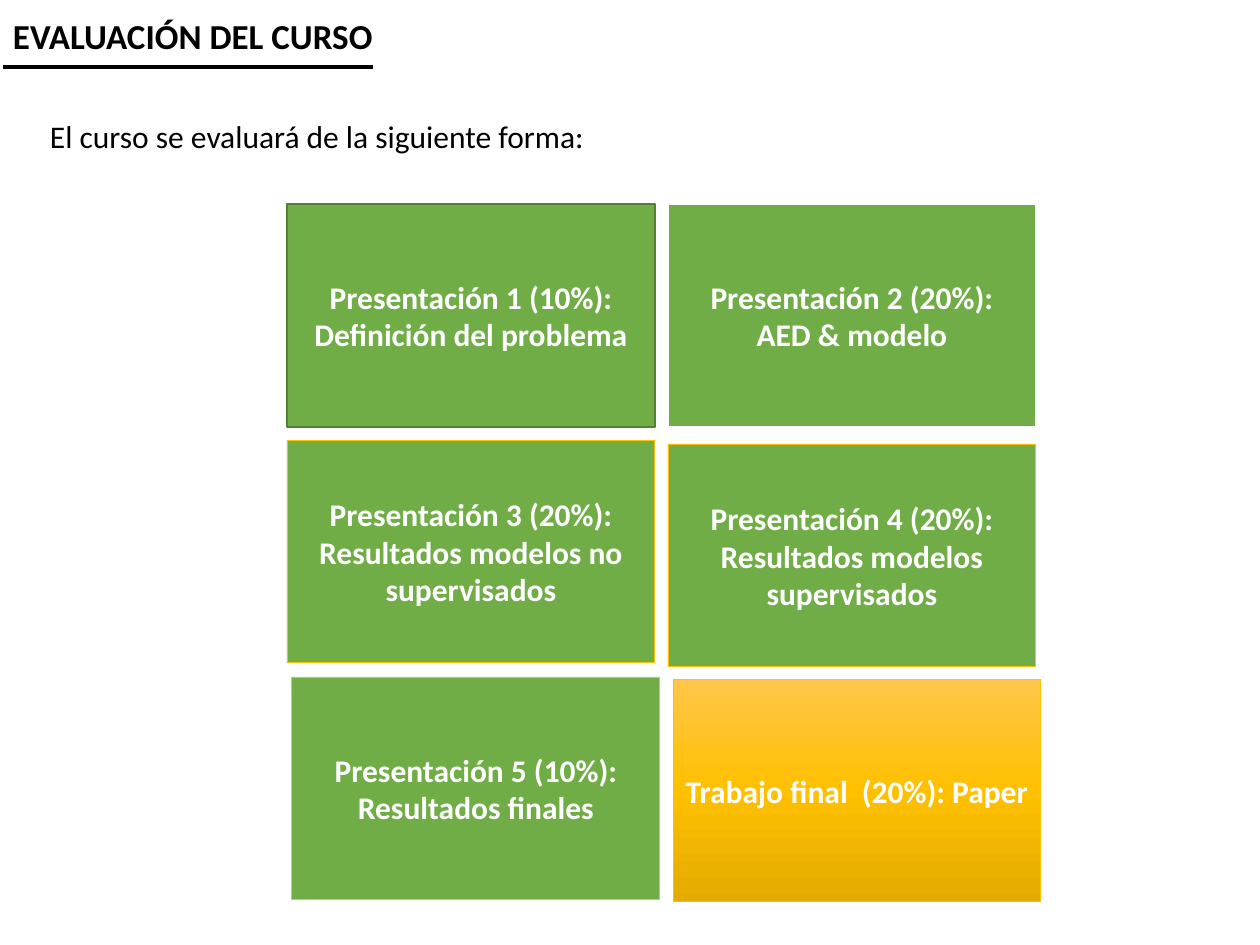
from copy import deepcopy

from lxml import etree
from pptx import Presentation
from pptx import util as u
from pptx.dml.color import RGBColor
from pptx.enum import shapes, text
from pptx.oxml.ns import qn

PX = u.Inches(1) / 126
FONT = "Calibri"
BLACK = RGBColor(0x00, 0x00, 0x00)
WHITE = RGBColor(0xFF, 0xFF, 0xFF)
GREEN = RGBColor(0x70, 0xAD, 0x47)
DARK_GREEN = RGBColor(0x53, 0x80, 0x35)
GOLD = RGBColor(0xFF, 0xC0, 0x00)
GOLD_STOPS = [(0, RGBColor(0xFF, 0xC6, 0x4B)), (0.5, GOLD),
              (1, RGBColor(0xE3, 0xAB, 0x00))]

BOX_W, BOX_H = 368, 223
COLUMN_STEP = 381
# Each row: left offset, top of each column
ROWS = [(0, (0, 0)), (0, (236, 240)), (5, (473, 475))]
ASSESSMENTS = [
    ("Presentación 1 (10%): Definición del problema", GREEN, DARK_GREEN, 1),
    ("Presentación 2 (20%):\vAED & modelo", GREEN, WHITE, 1.5),
    ("Presentación 3 (20%): Resultados modelos no supervisados", GREEN, GOLD, 0.5),
    ("Presentación 4 (20%): Resultados modelos supervisados", GREEN, GOLD, 0.5),
    ("Presentación 5 (10%): Resultados finales", GREEN, GOLD, 0.5),
    ("Trabajo final  (20%): Paper", GOLD_STOPS, GOLD, 0.5),
]


def px(n):
    return u.Emu(round(n * PX))


def box(*lengths):
    return [px(n) for n in lengths]


def write(sp, content, size=18, color=BLACK, bold=False, wrap=False,
          align=text.PP_ALIGN.LEFT, anchor=text.MSO_ANCHOR.TOP, inset=13):
    tf = sp.text_frame
    tf.word_wrap = wrap
    tf.auto_size = text.MSO_AUTO_SIZE.NONE
    tf.vertical_anchor = anchor
    tf.margin_left = tf.margin_right = px(inset)
    tf.margin_top = tf.margin_bottom = px(6)
    p = tf.paragraphs[0]
    p.text = content
    p.alignment = align
    p.line_spacing = 1.0
    for r in p.runs:
        r.font.name, r.font.size = FONT, u.Pt(size)
        r.font.bold, r.font.color.rgb = bold, color


def fill_gradient(sp, stops):
    sp.fill.gradient()
    sp.fill.gradient_angle = 270
    stop_list = sp._element.spPr.find(qn("a:gradFill")).find(qn("a:gsLst"))
    stop_list.append(deepcopy(stop_list[-1]))
    for stop, (position, color) in zip(sp.fill.gradient_stops, stops):
        stop.position = position
        stop.color.rgb = color


def add_heading(s, x, y, w, h):
    # Title
    title = s.shapes.title
    title.left, title.top, title.width, title.height = box(x, y, w, h)
    write(title, "EVALUACIÓN DEL CURSO", size=20, bold=True)
    # Underline
    rule = s.shapes.add_connector(shapes.MSO_CONNECTOR.STRAIGHT,
                                  *box(x + 3, y + 59, x + 373, y + 59))
    rule.line.color.rgb = BLACK
    rule.line.width = u.Pt(2.25)
    etree.SubElement(rule._element.spPr, qn("a:effectLst"))


def add_intro(s, x, y, w, h):
    sp = s.shapes.add_textbox(*box(x, y, w, h))
    write(sp, "El curso se evaluará de la siguiente forma:")


def add_assessment(s, x, y, w, h, content, fill, outline, line_width):
    sp = s.shapes.add_shape(shapes.MSO_SHAPE.RECTANGLE, *box(x, y, w, h))
    sp.shadow.inherit = False
    if isinstance(fill, list):
        fill_gradient(sp, fill)
    else:
        sp.fill.solid()
        sp.fill.fore_color.rgb = fill
    sp.line.color.rgb = outline
    sp.line.width = u.Pt(line_width)
    write(sp, content, color=WHITE, bold=True, wrap=True, inset=10,
          align=text.PP_ALIGN.CENTER, anchor=text.MSO_ANCHOR.MIDDLE)


def add_assessment_grid(s, x, y):
    for i, assessment in enumerate(ASSESSMENTS):
        row, column = divmod(i, 2)
        shift, tops = ROWS[row]
        add_assessment(s, x + shift + column * COLUMN_STEP, y + tops[column],
                       BOX_W, BOX_H, *assessment)


def main():
    prs = Presentation()
    prs.slide_width, prs.slide_height = u.Inches(10), u.Inches(7.5)
    s = prs.slides.add_slide(prs.slide_layouts[5])
    add_heading(s, 0, 8, 388, 55)
    add_intro(s, 37, 111, 581, 127)
    add_assessment_grid(s, 287, 204)
    prs.save("out.pptx")


if __name__ == "__main__":
    main()
